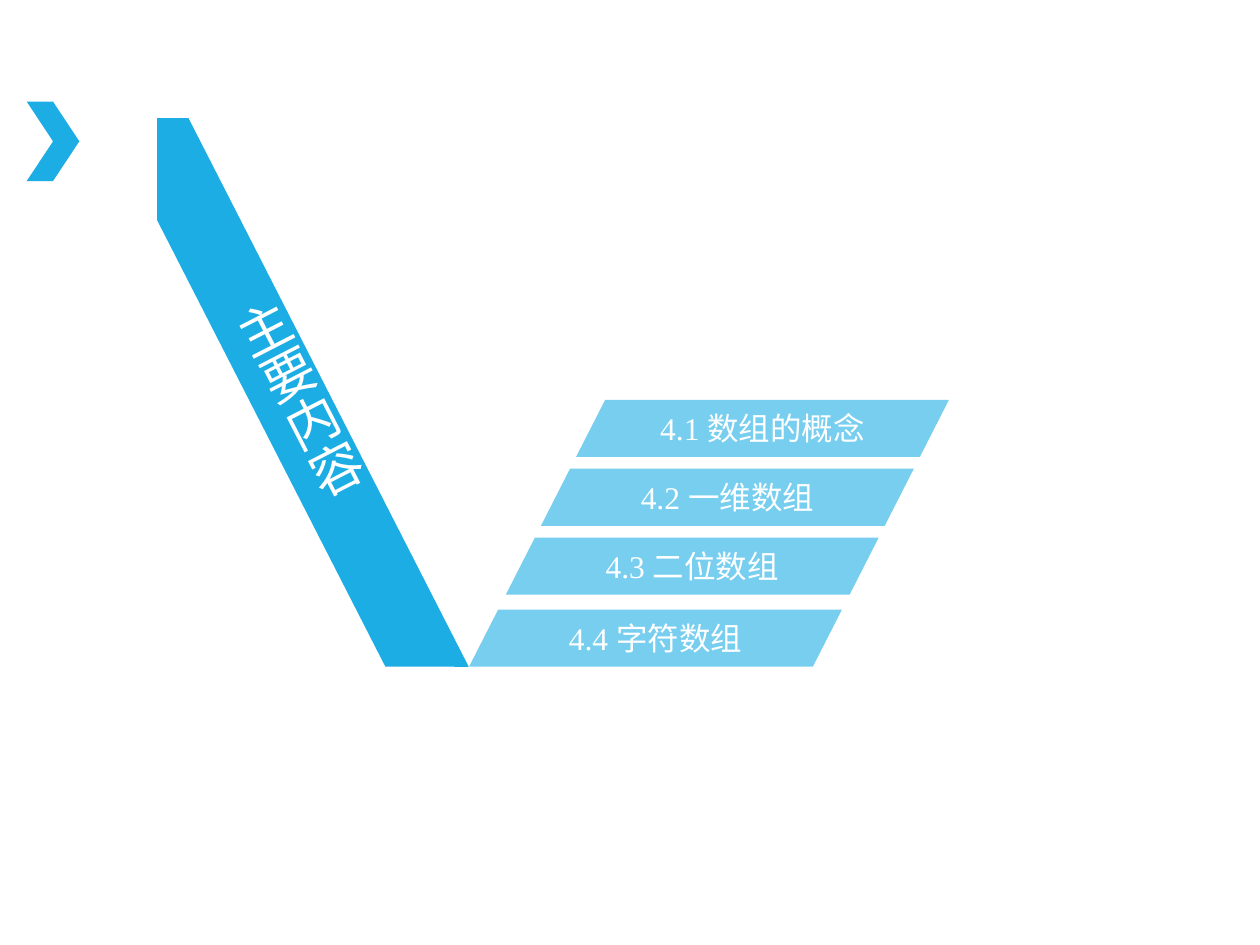
from math import cos, radians, sin

from pptx import Presentation
from pptx import util as u
from pptx.dml.color import RGBColor
from pptx.enum import text


def colour(hex_code):
    return RGBColor.from_string(hex_code)


class Slide:
    blue, pale, white = "1CADE4", "77CEEF", "FFFFFF"

    def __init__(self, deck):
        self.page = deck.slides.add_slide(deck.slide_layouts[6])

    def outline(self, points, fill):
        """Draw a closed, filled shape through points given in cm."""
        start, *others = [(u.Cm(x), u.Cm(y)) for x, y in points]
        builder = self.page.shapes.build_freeform(*start, scale=1.0)
        builder.add_line_segments(others, close=True)
        shape = builder.convert_to_shape()
        shape.shadow.inherit = False
        shape.fill.solid()
        shape.fill.fore_color.rgb = colour(fill)
        shape.line.fill.background()
        return shape

    def turned_outline(self, points, fill, angle):
        """Draw points where they show, in a frame rotated by angle."""
        turn = radians(-angle)
        xs, ys = zip(*points)
        mid_x, mid_y = (min(xs) + max(xs)) / 2, (min(ys) + max(ys)) / 2
        flat = [
            (mid_x + (x - mid_x) * cos(turn) - (y - mid_y) * sin(turn),
             mid_y + (x - mid_x) * sin(turn) + (y - mid_y) * cos(turn))
            for x, y in points
        ]
        # The frame turns about its own centre, so move that centre in place
        flat_x, flat_y = zip(*flat)
        off_x = (min(flat_x) + max(flat_x)) / 2 - mid_x
        off_y = (min(flat_y) + max(flat_y)) / 2 - mid_y
        shift_x = off_x * cos(turn) + off_y * sin(turn) - off_x
        shift_y = off_y * cos(turn) - off_x * sin(turn) - off_y
        shape = self.outline(
            [(x + shift_x, y + shift_y) for x, y in flat], fill)
        shape.rotation = angle
        return shape

    def label(self, shape, words, font, size, margins):
        """Write one centred white line inside a shape."""
        box = shape.text_frame
        sides = ("margin_left", "margin_top", "margin_right", "margin_bottom")
        frame_format = dict(zip(sides, map(u.Cm, margins)))
        frame_format.update(word_wrap=True,
                            vertical_anchor=text.MSO_ANCHOR.MIDDLE)
        for name, value in frame_format.items():
            setattr(box, name, value)
        para = box.paragraphs[0]
        para.alignment = text.PP_ALIGN.CENTER
        span = para.add_run()
        span.text = words
        for name, value in {"name": font, "size": u.Pt(size)}.items():
            setattr(span.font, name, value)
        span.font.color.rgb = colour(self.white)

    def stack_text(self, shape):
        """Run the text downwards, centred along the shape."""
        body = shape.element.txBody.bodyPr
        for name, value in {"vert": "eaVert", "anchorCtr": "1"}.items():
            body.set(name, value)


def main():
    deck = Presentation()
    deck.slide_width, deck.slide_height = u.Cm(25.4), u.Cm(19.05)
    slide = Slide(deck)

    # Chevron in the top left corner
    slide.outline([(0.54, 2.05), (1.07, 2.05), (1.6, 2.85),
                   (1.07, 3.65), (0.54, 3.65), (1.07, 2.85)], slide.blue)

    # Slanted chapter bars, stepping left along one slope from top to bottom
    slope, width, height, first_top = 0.51, 6.93, 1.15, 8.06
    chapters = [
        ("4.4 字符数组", 12.29),
        ("4.3 二位数组", 10.84),
        ("4.2 一维数组", 9.45),
        ("4.1 数组的概念", first_top),
    ]
    for words, top in chapters:
        left = 12.2 - slope * (top - first_top)
        foot = left - slope * height
        bar = slide.outline([(left, top), (left + width, top),
                             (foot + width, top + height),
                             (foot, top + height)], slide.pale)
        slide.label(bar, words, "Times New Roman", 18, (0.46, 0.1, 0.46, 0.1))

    # Leaning band; equal end margins hold the vertical title in its middle
    band = slide.turned_outline(
        [(3.17, 2.38), (3.8, 2.38), (9.45, 13.44), (7.77, 13.44),
         (3.17, 4.44)], slide.blue, 332.9)
    slide.label(band, "主要内容", "Arial", 30, (0.53, 4.1, 0.23, 4.1))
    slide.stack_text(band)

    deck.save("out.pptx")


if __name__ == "__main__":
    main()
